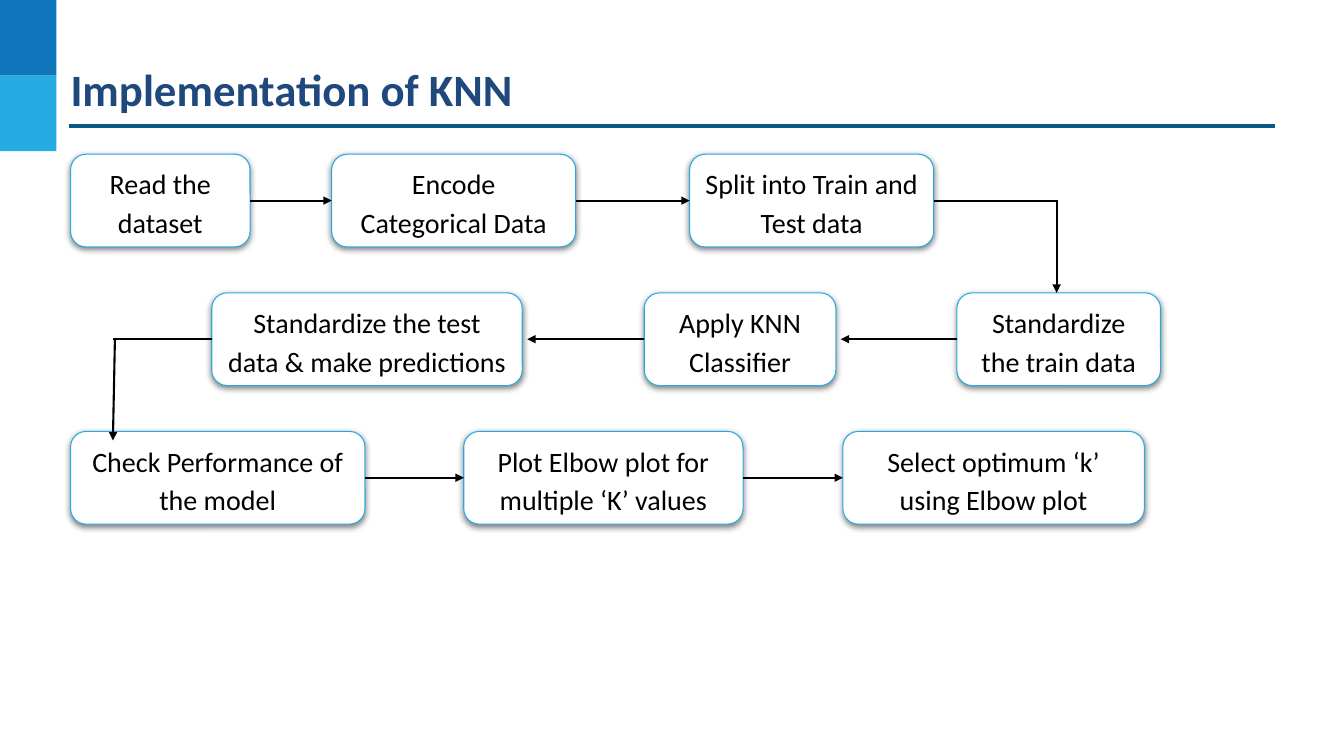
"""Build the slide that shows the steps of a KNN implementation as a flow chart."""
from lxml.etree import SubElement
from pptx import Presentation
from pptx.dml.color import RGBColor
from pptx.enum.shapes import MSO_CONNECTOR as Connector, MSO_SHAPE as Shape
from pptx.enum.text import MSO_ANCHOR as Anchor, PP_ALIGN as Align
from pptx.oxml import parse_xml
from pptx.oxml.ns import nsdecls, qn
from pptx.util import Inches, Pt

color = RGBColor.from_string

presentation = Presentation()
presentation.slide_width = Inches(13.33)
presentation.slide_height = Inches(7.5)
slide = presentation.slides.add_slide(presentation.slide_layouts[5])


def add_line(start, end, hex_color="000000", width=1.5, arrow=True):
    """Draw a straight line, with an arrowhead at its end if wanted."""
    line = slide.shapes.add_connector(Connector.STRAIGHT, *map(Inches, start + end))
    line.line.color.rgb = color(hex_color)
    line.line.width = Pt(width)
    if arrow:
        SubElement(line.line._get_or_add_ln(), qn("a:tailEnd"), type="triangle")
    SubElement(line._element.spPr, qn("a:effectLst"))


BAND = 0.75
for index, fill in enumerate(("0F75BD", "25AAE2")):
    block = slide.shapes.add_shape(
        Shape.RECTANGLE, 0, Inches(index * BAND), Inches(0.56), Inches(BAND))
    block.shadow.inherit = False
    block.fill.solid()
    block.fill.fore_color.rgb = color(fill)
    block.line.fill.background()
add_line((0.68, 1.25), (12.65, 1.25), "095A82", 2.25, arrow=False)

title = slide.shapes.title
title.left, title.top, title.width, title.height = map(Inches, (0.68, 0.59, 12.29, 0.83))
title.text = "Implementation of KNN"
title_margins = dict.fromkeys(
    ("margin_left", "margin_top", "margin_right", "margin_bottom"), Inches(0.02))
for name, value in {**title_margins, "vertical_anchor": Anchor.TOP, "word_wrap": True}.items():
    setattr(title.text_frame, name, value)
title_paragraph = title.text_frame.paragraphs[0]
title_paragraph.alignment = Align.LEFT
for name, value in {"name": "Calibri", "size": Pt(32), "bold": True}.items():
    setattr(title_paragraph.font, name, value)
title_paragraph.font.color.rgb = color("1F497D")

TOP, ROW_STEP, BOX_HEIGHT = 1.53, 1.375, 0.92
step_rows = [
    [("Read the dataset", 0.7, 1.78),
     ("Encode Categorical Data", 3.29, 2.42),
     ("Split into Train and Test data", 6.84, 2.42)],
    [("Standardize the train data", 9.49, 2.02),
     ("Apply KNN Classifier", 6.39, 1.9),
     ("Standardize the test data & make predictions", 2.1, 3.08)],
    [("Check Performance of the model", 0.7, 2.92),
     ("Plot Elbow plot for multiple ‘K’ values", 4.6, 2.77),
     ("Select optimum ‘k’ using Elbow plot", 8.36, 2.99)],
]
frame_format = dict.fromkeys(title_margins, Inches(0.1))
frame_format.update(vertical_anchor=Anchor.MIDDLE, word_wrap=True)
paragraph_format = {"alignment": Align.CENTER, "line_spacing": 1.15, "space_after": Pt(16)}
font_format = {"name": "Calibri", "size": Pt(20), "bold": False}

for row, steps in enumerate(step_rows):
    top = TOP + row * ROW_STEP
    for text, left, width in steps:
        box = slide.shapes.add_shape(
            Shape.ROUNDED_RECTANGLE, *map(Inches, (left, top, width, BOX_HEIGHT)))
        box.adjustments[0] = 0.167
        box.fill.solid()
        box.fill.fore_color.rgb = color("FFFFFF")
        box.line.color.rgb = color("25AAE2")
        box.line.width = Pt(0.75)
        box.shadow.inherit = False
        box._element.spPr.find(qn("a:effectLst")).append(parse_xml(
            f'<a:outerShdw {nsdecls("a")} blurRad="{Pt(4.5)}" dist="{Pt(1.5)}" '
            'dir="5400000" algn="bl" rotWithShape="0"><a:srgbClr val="000000">'
            '<a:alpha val="49000"/></a:srgbClr></a:outerShdw>'))
        box.text_frame.text = text
        paragraph = box.text_frame.paragraphs[0]
        for target, values in ((box.text_frame, frame_format),
                               (paragraph, paragraph_format),
                               (paragraph.font, font_format)):
            for name, value in values.items():
                setattr(target, name, value)
        paragraph.font.color.rgb = color("000000")

    middle = top + BOX_HEIGHT / 2
    for (_, left, width), (_, next_left, next_width) in zip(steps, steps[1:]):
        if next_left > left:
            add_line((left + width, middle), (next_left, middle))
        else:
            add_line((left, middle), (next_left + next_width + 0.05, middle))

first_middle = TOP + BOX_HEIGHT / 2
second_middle = first_middle + ROW_STEP
add_line((9.26, first_middle), (10.49, first_middle), arrow=False)
add_line((10.48, first_middle), (10.48, TOP + ROW_STEP))
add_line((2.1, second_middle), (1.12, second_middle), arrow=False)
add_line((1.14, second_middle), (1.12, 4.37))

presentation.save("out.pptx")
